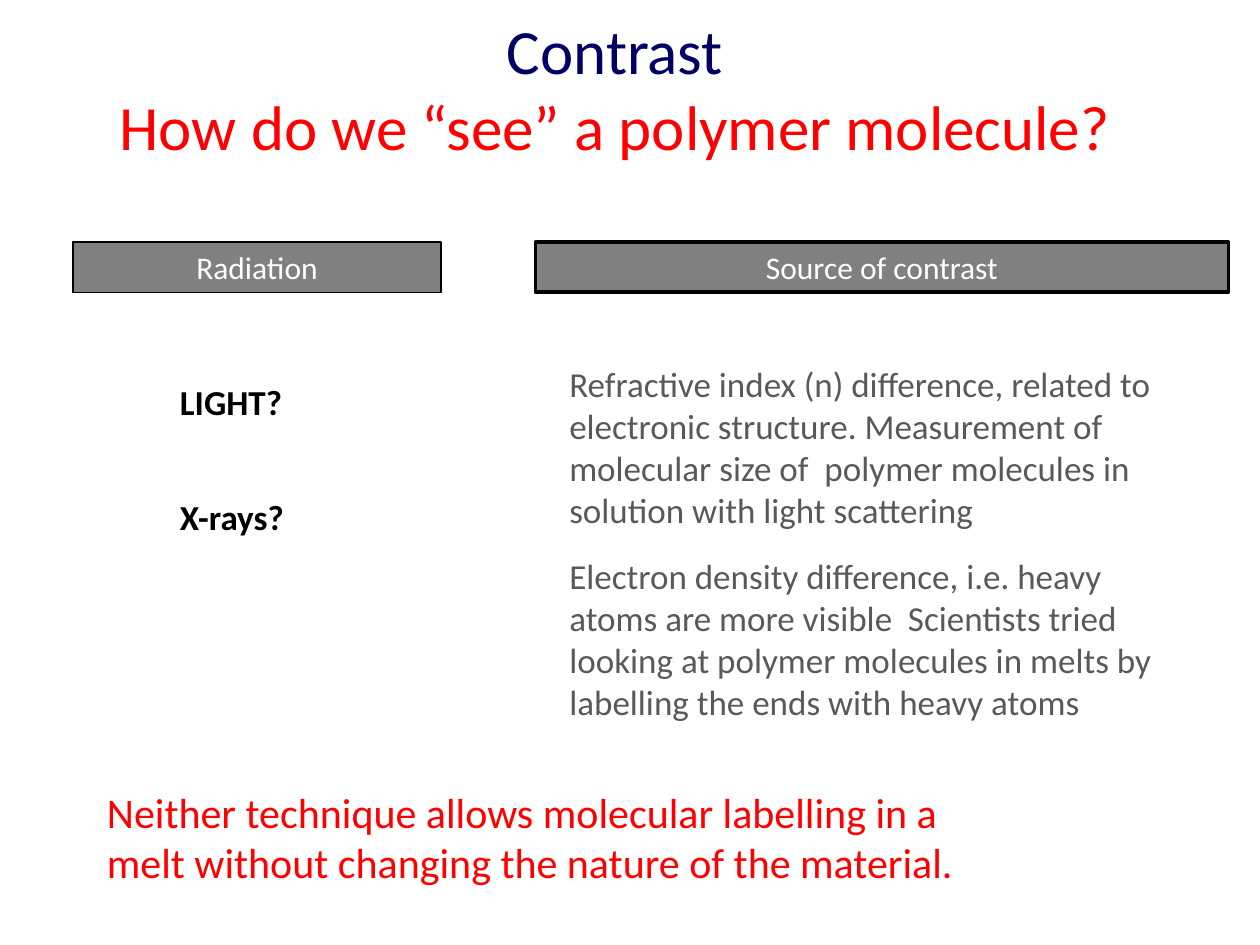
from pptx import Presentation
from pptx.dml.color import RGBColor
from pptx.enum.shapes import MSO_SHAPE as Shape
from pptx.enum.text import MSO_ANCHOR as Anchor, MSO_AUTO_SIZE as AutoSize, PP_ALIGN as Align
from pptx.util import Inches, Pt

NAVY = RGBColor(0x00, 0x00, 0x66)
RED = RGBColor(0xFF, 0x00, 0x00)
GRAY = RGBColor(0x80, 0x80, 0x80)
DARK_GRAY = RGBColor(0x59, 0x59, 0x59)
BLACK = RGBColor(0x00, 0x00, 0x00)
WHITE = RGBColor(0xFF, 0xFF, 0xFF)


class SlideBuilder:
    font_name = "Calibri"

    def __init__(self, page):
        self.page = page

    def add_span(self, para, text, size, color, align=Align.LEFT, bold=False):
        para.alignment = align
        span = para.add_run()
        span.text = text
        font_format = {"name": self.font_name, "size": Pt(size), "bold": bold}
        for name, value in font_format.items():
            setattr(span.font, name, value)
        span.font.color.rgb = color

    def title(self, lines, left, top, width, height):
        box = self.page.shapes.title
        place = {"left": left, "top": top, "width": width, "height": height}
        for name, value in place.items():
            setattr(box, name, Inches(value))
        frame = box.text_frame
        frame_format = {"margin_left": 0, "margin_top": 0, "margin_right": 0,
                        "margin_bottom": 0, "vertical_anchor": Anchor.MIDDLE,
                        "word_wrap": True, "auto_size": AutoSize.NONE}
        for name, value in frame_format.items():
            setattr(frame, name, value)
        for index, (text, color) in enumerate(lines):
            para = frame.add_paragraph() if index else frame.paragraphs[0]
            # Hanging indent of half an inch
            properties = para._p.get_or_add_pPr()
            properties.set("marL", str(Inches(0.5)))
            properties.set("indent", str(Inches(-0.5)))
            self.add_span(para, text, 36, color, Align.CENTER)

    def header(self, text, left, width, line_width):
        bar = self.page.shapes.add_shape(
            Shape.RECTANGLE, Inches(left), Inches(1.92), Inches(width), Inches(0.4))
        bar.shadow.inherit = False
        bar.fill.solid()
        bar.fill.fore_color.rgb = GRAY
        bar.line.color.rgb = BLACK
        bar.line.width = Pt(line_width)
        frame = bar.text_frame
        frame.vertical_anchor = Anchor.TOP
        self.add_span(frame.paragraphs[0], text, 18, WHITE, Align.CENTER)

    def text(self, text, left, top, width, height, size, color, **style):
        box = self.page.shapes.add_textbox(
            Inches(left), Inches(top), Inches(width), Inches(height))
        box.text_frame.word_wrap = True
        self.add_span(box.text_frame.paragraphs[0], text, size, color, **style)


def main():
    deck = Presentation()
    deck.slide_width, deck.slide_height = Inches(10), Inches(7.5)
    title_only = deck.slide_layouts[5]
    builder = SlideBuilder(deck.slides.add_slide(title_only))

    # Title
    builder.title([("Contrast", NAVY), ("How do we “see” a polymer molecule?", RED)],
                  0.17, 0.09, 9.42, 1.21)

    # Column headers
    builder.header("Radiation", 0.58, 2.92, 0.75)
    builder.header("Source of contrast", 4.25, 5.5, 2)

    # Radiation types with their sources of contrast
    rows = [
        ("LIGHT?", 2.97, 2.83,
         "Refractive index (n) difference, related to electronic structure. "
         "Measurement of molecular size of  polymer molecules in solution "
         "with light scattering"),
        ("X-rays?", 3.88, 4.35,
         "Electron density difference, i.e. heavy atoms are more visible  "
         "Scientists tried looking at polymer molecules in melts by labelling "
         "the ends with heavy atoms"),
    ]
    for radiation, radiation_top, source_top, source in rows:
        builder.text(source, 4.42, source_top, 4.83, 1.45, 20, DARK_GRAY)
        builder.text(radiation, 1.33, radiation_top, 1.67, 0.43, 20, BLACK,
                     align=Align.JUSTIFY, bold=True)

    # Conclusion
    builder.text("Neither technique allows molecular labelling in a melt without "
                 "changing the nature of the material.",
                 0.75, 6.19, 7.09, 0.92, 24, RED)

    deck.save("out.pptx")


if __name__ == "__main__":
    main()
